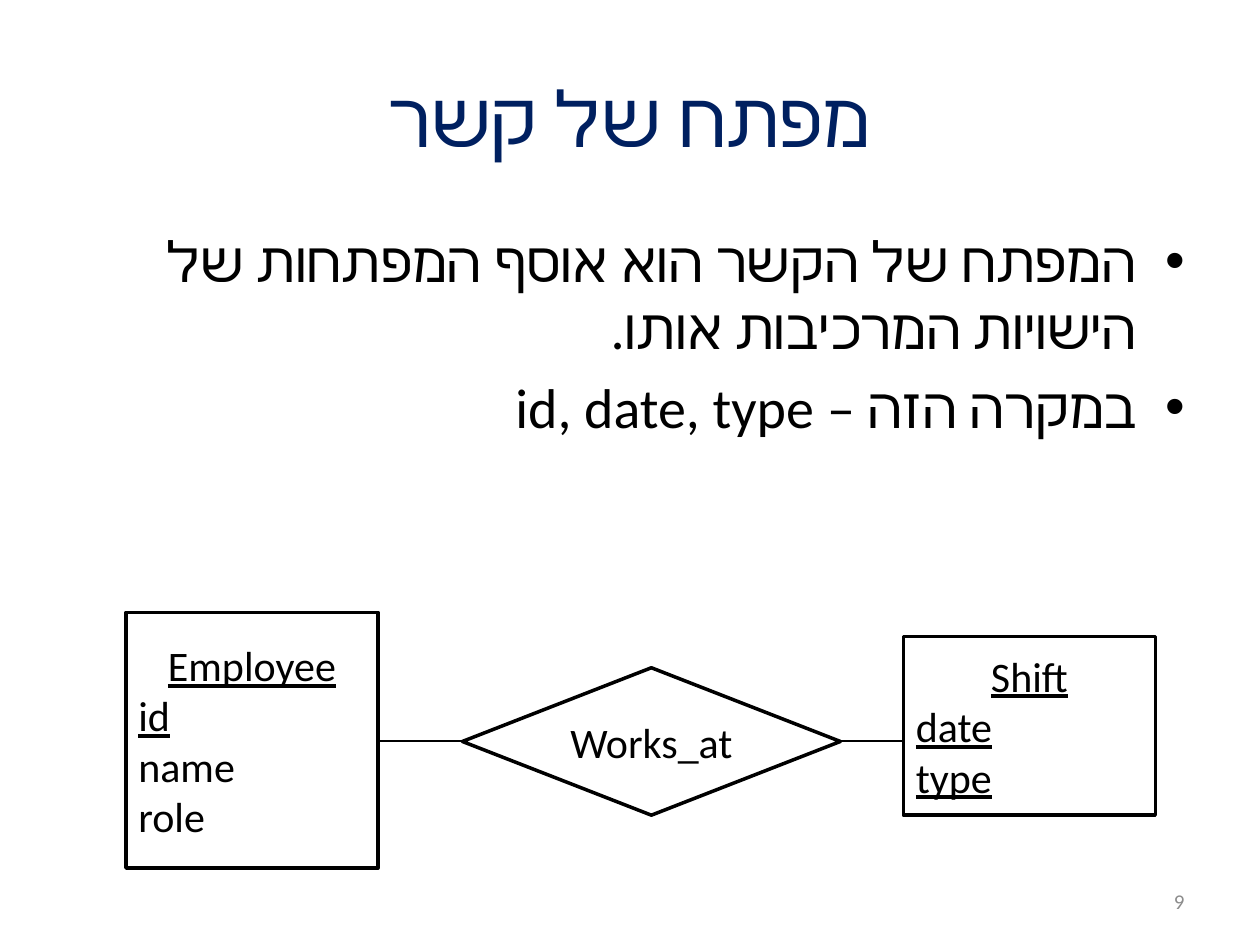
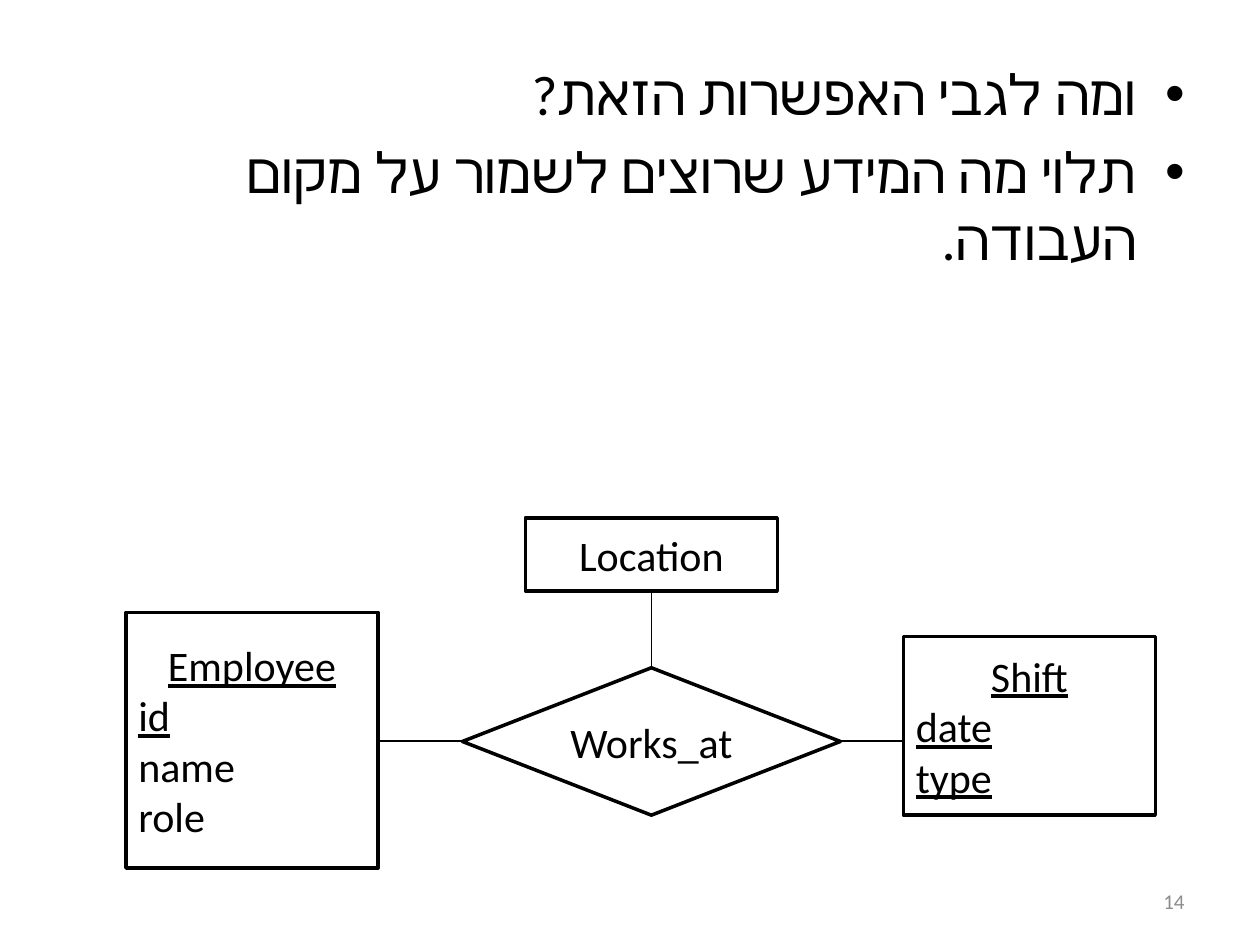
from dataclasses import dataclass

from lxml import etree
from pptx import Presentation
from pptx import util as u
from pptx.dml.color import RGBColor
from pptx.enum import shapes, text
from pptx.oxml import ns


@dataclass(frozen=True)
class Theme:
    """Colours, type sizes and line widths shared by the slides."""
    font: str = "Calibri"
    ink: str = "000000"
    title_ink: str = "002060"
    number_ink: str = "8C8C8C"
    title_size: int = 44
    body_size: int = 32
    diagram_size: int = 24
    number_size: int = 12
    outline: float = 2
    link: float = 0.75


THEME = Theme()
CENTER, LEFT, RIGHT = text.PP_ALIGN.CENTER, text.PP_ALIGN.LEFT, text.PP_ALIGN.RIGHT
RELATION_X, LINK_Y = 5.17, 5.88
EMPLOYEE_RIGHT, SHIFT_LEFT = 3, 7.17
RELATION_LEFT, RELATION_TOP, RELATION_WIDTH = 3.67, 5.3, 3
LOCATION_TOP, LOCATION_HEIGHT = 4.11, 0.58


def inches(*lengths):
    """Convert several lengths to Inches."""
    return [u.Inches(length) for length in lengths]


def style(paragraph, size, color, align, underline=None):
    """Align a paragraph and format its runs."""
    paragraph.alignment = align
    for run in paragraph.runs:
        font = run.font
        font.name, font.size, font.underline = THEME.font, u.Pt(size), underline
        font.color.rgb = RGBColor.from_string(color)
        complex_script = etree.SubElement(run._r.get_or_add_rPr(), ns.qn("a:cs"))
        complex_script.set("typeface", THEME.font)


def add_text(slide, box, wording, anchor=text.MSO_ANCHOR.MIDDLE):
    """Add a wrapping text box and return its frame."""
    frame = slide.shapes.add_textbox(*inches(*box)).text_frame
    frame.word_wrap = True
    frame.vertical_anchor = anchor
    frame.text = wording
    return frame


def add_title(slide, wording):
    """Add the centred right-to-left title."""
    heading = add_text(slide, (0.5, 0.3, 9, 1.25), wording).paragraphs[0]
    style(heading, THEME.title_size, THEME.title_ink, CENTER)
    heading._p.get_or_add_pPr().set("rtl", "1")


def add_bullets(slide, top, height, points):
    """Add right-to-left bullet points with a hanging indent."""
    frame = add_text(slide, (0.5, top, 9, height), "\n".join(points), text.MSO_ANCHOR.TOP)
    indent = u.Inches(0.375)
    for point in frame.paragraphs:
        style(point, THEME.body_size, THEME.ink, RIGHT)
        props = point._p.get_or_add_pPr()
        for key, value in (("rtl", 1), ("marL", 0), ("marR", indent), ("indent", -indent)):
            props.set(key, str(value))
        props.set("marL", str(indent))
        del props.attrib["marR"]
        space = etree.SubElement(props, ns.qn("a:spcBef"))
        etree.SubElement(space, ns.qn("a:spcPct")).set("val", "20000")
        etree.SubElement(props, ns.qn("a:buFont")).set("typeface", "Arial")
        etree.SubElement(props, ns.qn("a:buChar")).set("char", "•")


def add_slide_number(slide, number):
    """Add the grey number in the lower right corner."""
    frame = add_text(slide, (7.17, 6.95, 2.33, 0.4), str(number))
    style(frame.paragraphs[0], THEME.number_size, THEME.number_ink, RIGHT)


def add_node(slide, kind, box, name, keys=(), attributes=()):
    """Add an outlined diagram node; a node with keys has an underlined name."""
    node = slide.shapes.add_shape(kind, *inches(*box))
    node.shadow.inherit = False
    node.fill.background()
    node.line.color.rgb = RGBColor.from_string(THEME.ink)
    node.line.width = u.Pt(THEME.outline)
    frame = node.text_frame
    frame.vertical_anchor = text.MSO_ANCHOR.MIDDLE
    frame.text = "\n".join([name, *keys, *attributes])
    for row, paragraph in enumerate(frame.paragraphs):
        underlined = bool(keys) and row <= len(keys)
        style(paragraph, THEME.diagram_size, THEME.ink, LEFT if row else CENTER, underlined)


def add_link(slide, start, end):
    """Join two diagram nodes with a thin line."""
    link = slide.shapes.add_connector(shapes.MSO_CONNECTOR.STRAIGHT, *inches(*start, *end))
    link.line.color.rgb = RGBColor.from_string(THEME.ink)
    link.line.width = u.Pt(THEME.link)
    etree.SubElement(link._element.spPr, ns.qn("a:effectLst"))


def add_location(slide):
    """Add the Location entity above the relation and its link."""
    bottom = LOCATION_TOP + LOCATION_HEIGHT
    add_link(slide, (RELATION_X, bottom), (RELATION_X, RELATION_TOP))
    add_node(slide, shapes.MSO_SHAPE.RECTANGLE,
             (RELATION_X - 1, LOCATION_TOP, 2, LOCATION_HEIGHT), "Location")


def add_work_diagram(slide):
    """Add the Employee - Works_at - Shift diagram."""
    entity = shapes.MSO_SHAPE.RECTANGLE
    add_node(slide, shapes.MSO_SHAPE.FLOWCHART_DECISION,
             (RELATION_LEFT, RELATION_TOP, RELATION_WIDTH, 1.17), "Works_at")
    relation_right = RELATION_LEFT + RELATION_WIDTH
    for start, end in ((RELATION_LEFT, EMPLOYEE_RIGHT), (relation_right, SHIFT_LEFT)):
        add_link(slide, (start, LINK_Y), (end, LINK_Y))
    add_node(slide, entity, (EMPLOYEE_RIGHT - 2, 4.86, 2, 2.03),
             "Employee", ["id"], ["name", "role"])
    add_node(slide, entity, (SHIFT_LEFT, 5.05, 2, 1.42), "Shift", ["date", "type"])


def main():
    """Build and save both slides."""
    deck = Presentation()
    deck.slide_width, deck.slide_height = inches(10, 7.5)
    blank = deck.slide_layouts[6]

    relation_key = deck.slides.add_slide(blank)
    add_title(relation_key, "מפתח של קשר")
    add_bullets(relation_key, 1.75, 2, [
        "המפתח של הקשר הוא אוסף המפתחות של הישויות המרכיבות אותו.",
        "במקרה הזה – id, date, type",
    ])
    add_slide_number(relation_key, 9)
    add_work_diagram(relation_key)

    location_option = deck.slides.add_slide(blank)
    add_bullets(location_option, 0.42, 2.25, [
        "ומה לגבי האפשרות הזאת?",
        "תלוי מה המידע שרוצים לשמור על מקום העבודה.",
    ])
    add_slide_number(location_option, 14)
    add_location(location_option)
    add_work_diagram(location_option)

    deck.save("out.pptx")


main()
